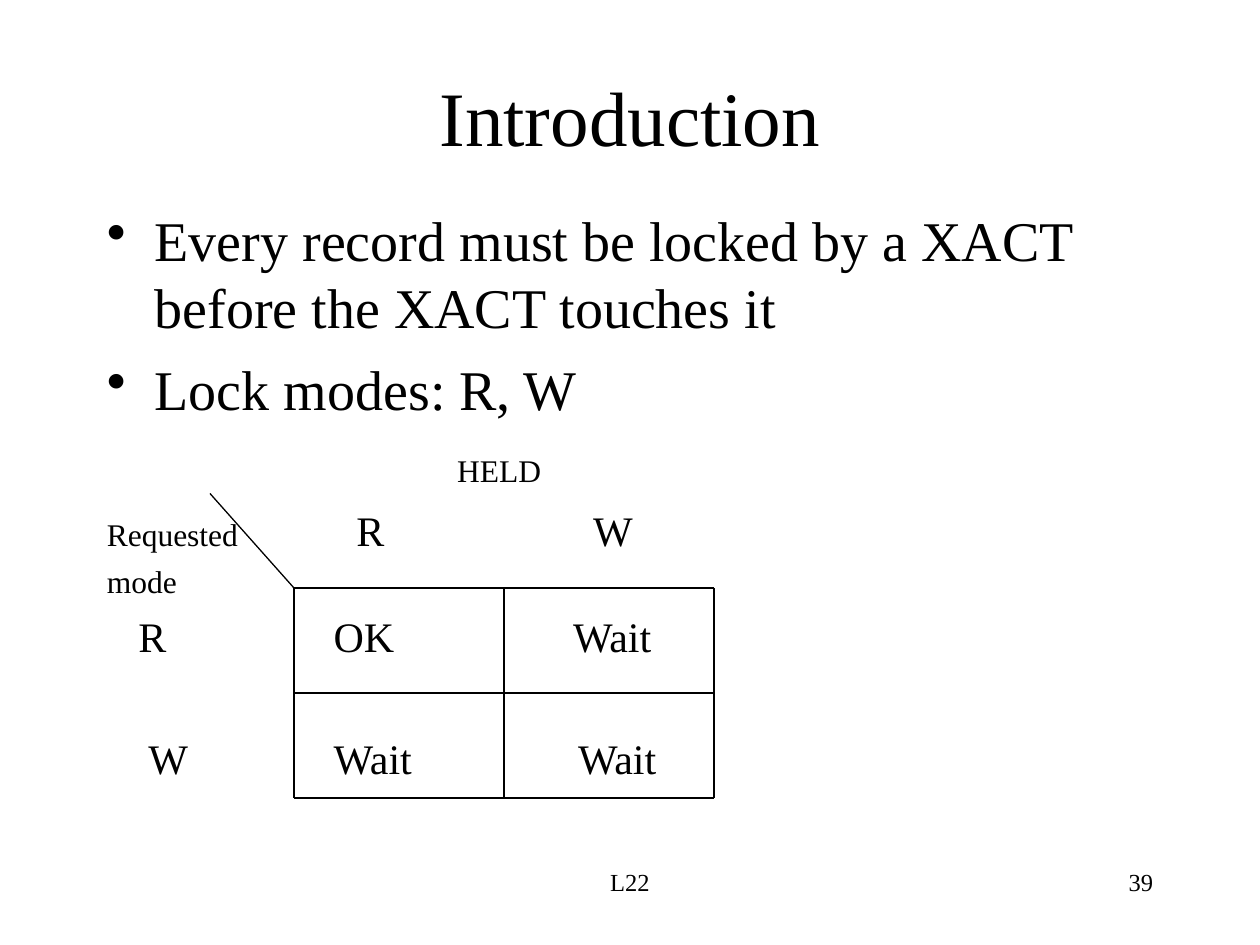
import pptx
import pptx.util
import pptx.dml.color
import pptx.enum.shapes
import pptx.enum.text
import pptx.oxml

Pt, In = pptx.util.Pt, pptx.util.Inches
Al, Mid = pptx.enum.text.PP_ALIGN, pptx.enum.text.MSO_ANCHOR.MIDDLE

theme = {
    "font": "Times New Roman",
    "ink": pptx.dml.color.RGBColor(0, 0, 0),
    "title": 44, "body": 32, "cell": 24, "note": 18, "foot": 14,
    "line": 0.75,
}

deck = pptx.Presentation()
deck.slide_width, deck.slide_height = In(10), In(7.5)
slide = deck.slides.add_slide(deck.slide_layouts[6])
unit = deck.slide_width // 120  # grid of 120 columns by 90 rows


def add_box(left, top, wide, high):
    box = slide.shapes.add_textbox(*(n * unit for n in (left, top, wide, high)))
    box.text_frame.word_wrap = True
    return box.text_frame


def add_run(para, text, size):
    run = para.add_run()
    run.text = text
    form = {"name": theme["font"], "size": Pt(theme[size])}
    for key, val in form.items():
        setattr(run.font, key, val)
    run.font.color.rgb = theme["ink"]


# Title and footer
for text, size, align, place in [
    ("Introduction", "title", Al.CENTER, (9, 4, 102, 14)),
    ("L22", "foot", Al.CENTER, (41, 82, 38, 6)),
    ("39", "foot", Al.RIGHT, (86, 82, 25, 6)),
]:
    frame = add_box(*place)
    if size == "title":
        frame.vertical_anchor = Mid
    frame.paragraphs[0].alignment = align
    add_run(frame.paragraphs[0], text, size)

# Bullets
body = add_box(9, 19, 102, 61)
for i, text in enumerate([
    "Every record must be locked by a XACT before the XACT touches it",
    "Lock modes: R, W",
]):
    para = body.add_paragraph() if i else body.paragraphs[0]
    para.space_before = Pt(8 * i)
    props = para._p.get_or_add_pPr()
    props.set("marL", str(In(0.38)))
    props.set("indent", str(-In(0.38)))
    props.append(pptx.oxml.parse_xml(
        '<a:buChar xmlns:a="http://schemas.openxmlformats.org/drawingml/2006/main"'
        ' char="•"/>'))
    add_run(para, text, "body")

# Lock matrix wording: space before, tab stops in inches, runs
for gap, stops, runs in [
    (17, [2.78], [("\tHELD", "note")]),
    (9, [1.98, 3.86], [("Requested", "note"), ("\tR\tW", "cell")]),
    (4, [], [("mode", "note")]),
    (6, [0.25, 1.8, 3.7], [("\tR\tOK\tWait", "cell")]),
    (41, [0.33, 1.8, 3.74], [("\tW\tWait\tWait", "cell")]),
]:
    para = body.add_paragraph()
    para.space_before = Pt(gap)
    if stops:
        tabs = "".join(f'<a:tab pos="{In(stop)}" algn="l"/>' for stop in stops)
        para._p.get_or_add_pPr().append(pptx.oxml.parse_xml(
            '<a:tabLst xmlns:a="http://schemas.openxmlformats.org/drawingml/2006/main">'
            f"{tabs}</a:tabLst>"))
    for text, size in runs:
        add_run(para, text, size)

# Lock matrix rules, and the slanted line at its corner
cols, rows = (28, 48, 68), (56, 66, 76)
rules = [(cols[0], row, cols[-1], row) for row in rows]
rules += [(col, rows[0], col, rows[-1]) for col in cols]
rules.append((cols[0], rows[0], 20, 47))
for ends in rules:
    rule = slide.shapes.add_connector(
        pptx.enum.shapes.MSO_CONNECTOR.STRAIGHT, *(n * unit for n in ends))
    rule.line.color.rgb = theme["ink"]
    rule.line.width = Pt(theme["line"])
    rule._element.spPr.append(pptx.oxml.parse_xml(
        '<a:effectLst xmlns:a="http://schemas.openxmlformats.org/drawingml/2006/main"/>'))

deck.save("out.pptx")
